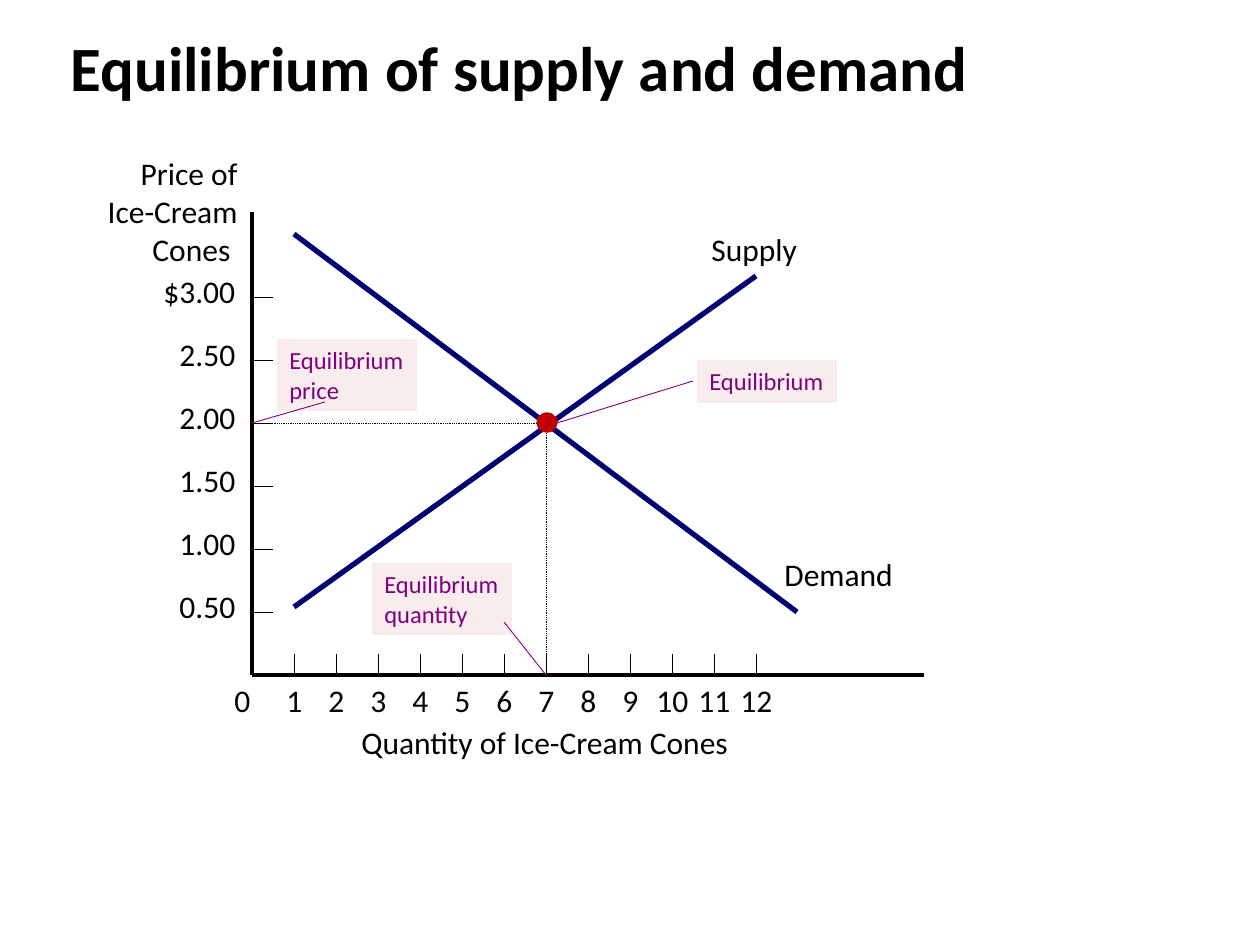
from dataclasses import dataclass

from lxml import etree
from pptx import Presentation
from pptx import util as u
from pptx.dml.color import RGBColor
from pptx.enum import dml, shapes, text
from pptx.oxml.ns import qn

PX = 914400 / 126  # EMU in one px; the slide is 126 px to the inch
FONT = "Calibri"
COLORS = {"ink": "000000", "curve": "000070", "note": "800080",
          "note_fill": "F8EDEC", "point": "C00000", "plot": "FFFFFF"}

# Plot geometry, px
ORIGIN_X, ORIGIN_Y = 252, 675
AXIS_TOP, AXIS_RIGHT = 212, 924
STEP_X, STEP_Y, TICK = 42, 63, 21
LABEL_H, LABEL_GAP = 50, 31
DIGIT_W = {1: 40, 2: 57}
EQ_X, EQ_Y = ORIGIN_X + 7 * STEP_X, ORIGIN_Y - 4 * STEP_Y
PRICES = ["0.50", "1.00", "1.50", "2.00", "2.50", "$3.00"]


@dataclass(frozen=True)
class Curve:
    name: str
    start: tuple[int, int]
    end: tuple[int, int]
    label_box: tuple[int, int, int, int]


@dataclass(frozen=True)
class Callout:
    lines: list[str]
    box: tuple[int, int, int, int]
    start: tuple[int, int]
    end: tuple[int, int]


SUPPLY = Curve("Supply", (294, 607), (756, 276), (699, 224, 111, LABEL_H))
DEMAND = Curve("Demand", (294, 234), (797, 612), (772, 549, 134, LABEL_H))
EQUILIBRIUM = Callout(["Equilibrium"], (697, 360, 140, 43),
                      (557, EQ_Y), (693, 381))
PRICE = Callout(["Equilibrium", "price"], (277, 339, 140, 72),
                (ORIGIN_X, EQ_Y), (325, 402))
QUANTITY = Callout(["Equilibrium", "quantity"], (372, 563, 140, 72),
                   (504, 622), (EQ_X, ORIGIN_Y))


def px(*values: int) -> list[u.Emu]:
    return [u.Emu(round(value * PX)) for value in values]


def rgb(name: str) -> RGBColor:
    return RGBColor.from_string(COLORS[name])


def write(frame, lines: list[str], size: int = 18, color: str = "ink",
          bold: bool = False, align=text.PP_ALIGN.LEFT, wrap: bool = False,
          fit=text.MSO_AUTO_SIZE.SHAPE_TO_FIT_TEXT, spacing: float = 1.0) -> None:
    frame.word_wrap = wrap
    frame.auto_size = fit
    frame.vertical_anchor = text.MSO_ANCHOR.TOP
    for index, line in enumerate(lines):
        paragraph = frame.paragraphs[0] if index == 0 else frame.add_paragraph()
        paragraph.alignment = align
        paragraph.line_spacing = spacing
        run = paragraph.add_run()
        run.text = line
        run.font.name = FONT
        run.font.size = u.Pt(size)
        run.font.bold = bold
        run.font.color.rgb = rgb(color)


def add_label(slide, box: tuple[int, int, int, int], *lines: str, **style) -> None:
    write(slide.shapes.add_textbox(*px(*box)).text_frame, list(lines), **style)


def add_line(slide, start: tuple[int, int], end: tuple[int, int],
             width: float = 0.5, color: str = "ink", dotted: bool = False) -> None:
    line = slide.shapes.add_connector(shapes.MSO_CONNECTOR.STRAIGHT,
                                      *px(*start, *end))
    line.line.color.rgb = rgb(color)
    line.line.width = u.Pt(width)
    if dotted:
        line.line.dash_style = dml.MSO_LINE.ROUND_DOT
    etree.SubElement(line._element.spPr, qn("a:effectLst"))


def add_filled(slide, kind, box: tuple[int, int, int, int], fill: str,
               border: float = 0):
    shape = slide.shapes.add_shape(kind, *px(*box))
    shape.shadow.inherit = False
    shape.fill.solid()
    shape.fill.fore_color.rgb = rgb(fill)
    if border:
        shape.line.color.rgb = rgb(fill)
        shape.line.width = u.Pt(border)
    else:
        shape.line.fill.background()
    return shape


def add_curve(slide, curve: Curve) -> None:
    add_line(slide, curve.start, curve.end, width=3, color="curve")
    add_label(slide, curve.label_box, curve.name)


def add_callout(slide, callout: Callout) -> None:
    box = add_filled(slide, shapes.MSO_SHAPE.RECTANGLE, callout.box, "note_fill")
    write(box.text_frame, callout.lines, size=14, color="note")
    add_line(slide, callout.start, callout.end, color="note")


def add_quantity_axis(slide) -> None:
    add_line(slide, (ORIGIN_X, ORIGIN_Y), (AXIS_RIGHT, ORIGIN_Y), width=2.25)
    add_label(slide, (222, ORIGIN_Y, DIGIT_W[1], LABEL_H), "0")
    for quantity in range(1, 13):
        x = ORIGIN_X + quantity * STEP_X
        width = DIGIT_W[len(str(quantity))]
        add_line(slide, (x, ORIGIN_Y - TICK), (x, ORIGIN_Y))
        add_label(slide, (x - width // 2, ORIGIN_Y, width, LABEL_H), str(quantity))
    add_label(slide, (349, 717, 399, LABEL_H), "Quantity of Ice-Cream Cones")


def add_price_axis(slide) -> None:
    add_line(slide, (ORIGIN_X, AXIS_TOP), (ORIGIN_X, ORIGIN_Y), width=2.25)
    for step, price in enumerate(PRICES, start=1):
        y = ORIGIN_Y - step * STEP_Y
        width = 97 if price.startswith("$") else 81
        add_line(slide, (ORIGIN_X, y), (ORIGIN_X + TICK, y))
        add_label(slide, (248 - width, y - LABEL_GAP, width, LABEL_H), price)
    add_label(slide, (88, 148, 162, 126), "Price of", "Ice-Cream", "Cones ",
              align=text.PP_ALIGN.RIGHT)


def main() -> None:
    deck = Presentation()
    deck.slide_width, deck.slide_height = px(1260, 945)
    slide = deck.slides.add_slide(deck.slide_layouts[5])

    # Title
    title = slide.shapes.title
    title.left, title.top, title.width, title.height = px(42, 31, 955, 136)
    write(title.text_frame, ["Equilibrium of supply and demand"], size=36,
          bold=True, align=text.PP_ALIGN.CENTER, wrap=True,
          fit=text.MSO_AUTO_SIZE.NONE, spacing=0.9)

    # Plot area, supply curve and axes
    add_filled(slide, shapes.MSO_SHAPE.RECTANGLE, (252, 203, 672, 472), "plot", 1)
    add_curve(slide, SUPPLY)
    add_quantity_axis(slide)
    add_price_axis(slide)

    # Demand curve and guides to the equilibrium
    add_line(slide, (EQ_X, ORIGIN_Y), (EQ_X, EQ_Y), dotted=True)
    add_callout(slide, EQUILIBRIUM)
    add_curve(slide, DEMAND)
    add_line(slide, (EQ_X, EQ_Y), (ORIGIN_X, EQ_Y), dotted=True)
    add_filled(slide, shapes.MSO_SHAPE.OVAL, (EQ_X - 9, EQ_Y - 10, 20, 19),
               "point", 0.75)

    # Equilibrium price and quantity
    add_callout(slide, PRICE)
    add_callout(slide, QUANTITY)

    deck.save("out.pptx")


if __name__ == "__main__":
    main()
